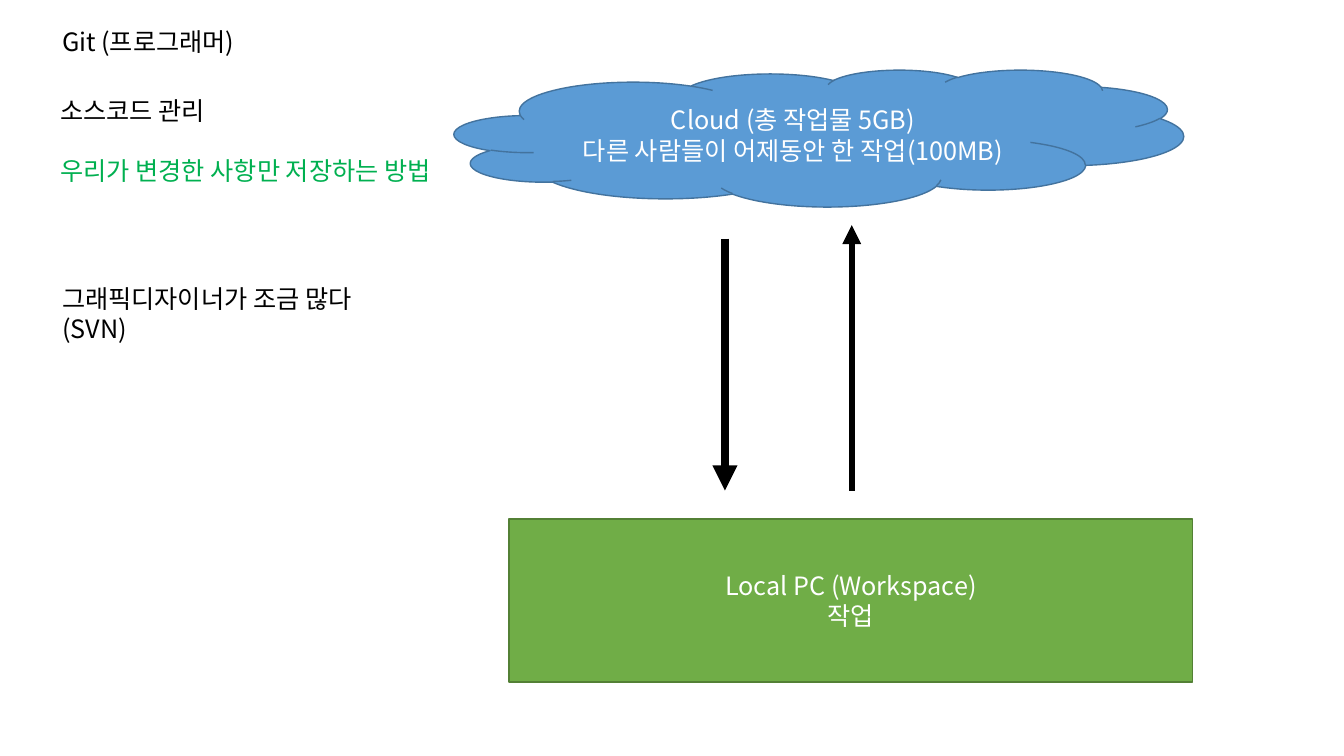
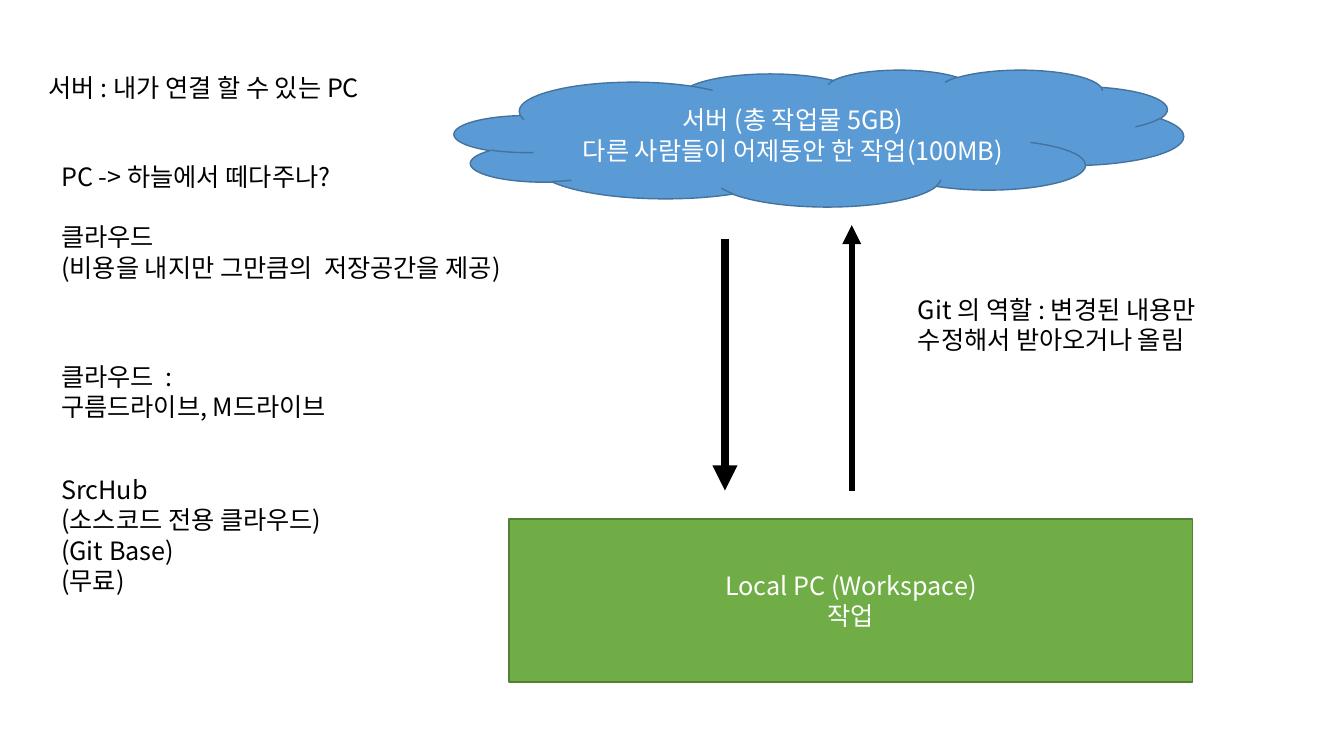
from lxml.etree import SubElement
from pptx import Presentation
from pptx.dml.color import RGBColor
from pptx.enum.shapes import MSO_CONNECTOR, MSO_SHAPE
from pptx.enum.text import MSO_ANCHOR, PP_ALIGN
from pptx.oxml.ns import qn
from pptx.util import Inches, Pt

BLACK = RGBColor(0x00, 0x00, 0x00)
WHITE = RGBColor(0xFF, 0xFF, 0xFF)
GREEN_TEXT = RGBColor(0x00, 0xB0, 0x50)
CLOUD_FILL = RGBColor(0x5B, 0x9B, 0xD5)
CLOUD_EDGE = RGBColor(0x43, 0x73, 0x9E)
PC_FILL = RGBColor(0x70, 0xAD, 0x47)
PC_EDGE = RGBColor(0x53, 0x80, 0x35)


class Deck:
    """Style and current slide; lengths are columns and rows of a 16 x 9 grid."""

    FONT = "Noto Sans CJK KR"
    SIZE = Pt(18)
    LINE_PITCH = Pt(21.6)
    LINE_ROWS = 0.36
    PADDING_ROWS = 0.12

    def __init__(self):
        self.prs = Presentation()
        self.prs.slide_width = Inches(13.33)
        self.prs.slide_height = Inches(7.5)
        self.slide = None

    def new_slide(self):
        self.slide = self.prs.slides.add_slide(self.prs.slide_layouts[6])

    def grid(self, col, row):
        return (round(self.prs.slide_width * col / 16),
                round(self.prs.slide_height * row / 9))

    def set_lines(self, frame, lines, color, align):
        """Each line is a text, or (text, color, blank lines above)."""
        frame.word_wrap = True
        for index, line in enumerate(lines):
            text, line_color, gap = (line, color, 0) if isinstance(line, str) else line
            paragraph = frame.paragraphs[0] if index == 0 else frame.add_paragraph()
            paragraph.alignment = align
            paragraph.line_spacing = self.LINE_PITCH
            paragraph.space_before = self.LINE_PITCH * gap
            run = paragraph.add_run()
            run.text = text
            run.font.size = self.SIZE
            run.font.color.rgb = line_color
            run.font.name = self.FONT
            SubElement(run.font._element, qn("a:ea"), typeface=self.FONT)

    def note(self, col, row, cols, *lines):
        count = sum(1 if isinstance(line, str) else 1 + line[2] for line in lines)
        rows = count * self.LINE_ROWS + self.PADDING_ROWS
        box = self.slide.shapes.add_textbox(*self.grid(col, row), *self.grid(cols, rows))
        self.set_lines(box.text_frame, lines, BLACK, PP_ALIGN.LEFT)

    def node(self, kind, place, size, fill, edge, *lines):
        shape = self.slide.shapes.add_shape(kind, *self.grid(*place), *self.grid(*size))
        shape.shadow.inherit = False
        shape.fill.solid()
        shape.fill.fore_color.rgb = fill
        shape.line.color.rgb = edge
        shape.line.width = Pt(1)
        shape.text_frame.vertical_anchor = MSO_ANCHOR.MIDDLE
        self.set_lines(shape.text_frame, lines, WHITE, PP_ALIGN.CENTER)

    def arrow(self, start, end, width):
        arrow = self.slide.shapes.add_connector(
            MSO_CONNECTOR.STRAIGHT, *self.grid(*start), *self.grid(*end))
        arrow.line.color.rgb = BLACK
        arrow.line.width = Pt(width)
        properties = arrow._element.spPr
        SubElement(properties.find(qn("a:ln")), qn("a:tailEnd"), type="triangle")
        SubElement(properties, qn("a:effectLst"))

    def sync_diagram(self, server):
        """Server cloud and local PC, with download and upload arrows."""
        self.node(MSO_SHAPE.CLOUD, (5.41, 0.83), (8.68, 1.63), CLOUD_FILL, CLOUD_EDGE,
                  f"{server} (총 작업물 5GB)", "다른 사람들이 어제동안 한 작업(100MB)")
        self.node(MSO_SHAPE.RECTANGLE, (6.06, 6.18), (8.14, 1.94), PC_FILL, PC_EDGE,
                  "Local PC (Workspace)", "작업")
        self.arrow((10.14, 5.84), (10.14, 2.68), 4.5)
        self.arrow((8.63, 2.84), (8.63, 5.84), 6)


def main():
    deck = Deck()

    # Slide 1: source code management
    deck.new_slide()
    deck.note(0.6, 1.07, 5.05, "소스코드 관리",
              ("우리가 변경한 사항만 저장하는 방법", GREEN_TEXT, 1))
    deck.note(0.62, 0.25, 2.35, "Git (프로그래머)")
    deck.sync_diagram("Cloud")
    deck.note(0.62, 3.31, 4, "그래픽디자이너가 조금 많다", "(SVN)")

    # Slide 2: servers and clouds
    deck.new_slide()
    deck.sync_diagram("서버")
    deck.note(0.46, 0.8, 4.45, "서버 : 내가 연결 할 수 있는 PC")
    deck.note(0.61, 1.86, 5.95, "PC -> 하늘에서 떼다주나?",
              ("클라우드", BLACK, 1), "(비용을 내지만 그만큼의  저장공간을 제공)")
    deck.note(0.61, 4.24, 3.75, "클라우드  :", "구름드라이브, M드라이브")
    deck.note(0.61, 5.59, 3.65, "SrcHub", "(소스코드 전용 클라우드)",
              "(Git Base)", "(무료)")
    deck.note(10.81, 3.44, 4.05, "Git 의 역할 : 변경된 내용만", "수정해서 받아오거나 올림")

    deck.prs.save("out.pptx")


if __name__ == "__main__":
    main()
